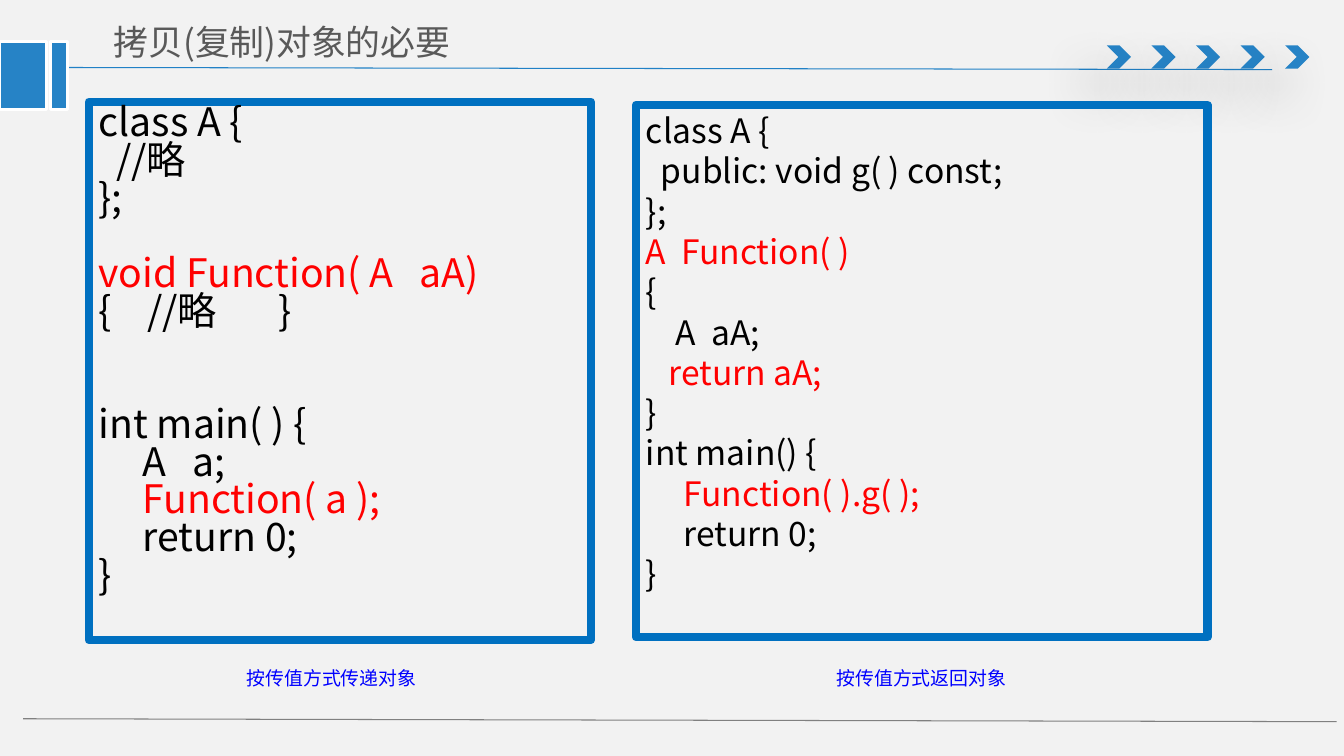
from lxml.etree import SubElement
from pptx import Presentation
from pptx.dml.color import RGBColor
from pptx.enum.shapes import MSO_CONNECTOR, MSO_SHAPE
from pptx.enum.text import MSO_ANCHOR, PP_ALIGN
from pptx.oxml.ns import qn
from pptx.util import Pt

BLUE, FRAME, RED, BLACK = "2683C6", "0070C0", "FF0000", "000000"
CJK = "Noto Sans CJK SC"


def color(value):
    return RGBColor.from_string(value)


def write(paragraph, text, size=18, font=CJK, ink=BLACK):
    run = paragraph.add_run()
    run.text = text
    run.font.size = Pt(size)
    run.font.name = font
    run.font.color.rgb = color(ink)
    SubElement(run.font._element, qn("a:ea"), typeface=font)


class SlideWriter:
    def __init__(self, slide):
        self.slide = slide
        slide.background.fill.solid()
        slide.background.fill.fore_color.rgb = color("F2F2F2")

    def rule(self, x1, y1, x2, y2, ink):
        line = self.slide.shapes.add_connector(
            MSO_CONNECTOR.STRAIGHT, Pt(x1), Pt(y1), Pt(x2), Pt(y2))
        line.line.color.rgb = color(ink)
        line.line.width = Pt(0.75)
        SubElement(line._element.spPr, qn("a:effectLst"))

    def block(self, kind, x, y, width, height, fill=None, border=None, weight=0):
        block = self.slide.shapes.add_shape(
            kind, Pt(x), Pt(y), Pt(width), Pt(height))
        block.shadow.inherit = False
        if fill:
            block.fill.solid()
            block.fill.fore_color.rgb = color(fill)
        else:
            block.fill.background()
        if border:
            block.line.color.rgb = color(border)
            block.line.width = Pt(weight)
        else:
            block.line.fill.background()
        return block

    def chevron(self, x, y):
        chevron = self.block(MSO_SHAPE.CHEVRON, x, y, 17.3, 16.6, BLUE)
        effects = chevron._element.spPr.find(qn("a:effectLst"))
        shadow = SubElement(effects, qn("a:outerShdw"), blurRad=str(Pt(36)),
                            dist=str(Pt(24)), dir=str(130 * 60000),
                            rotWithShape="0")
        tint = SubElement(shadow, qn("a:srgbClr"), val=BLACK)
        SubElement(tint, qn("a:alpha"), val="38000")

    def label(self, text, x, y, width, height, insets=(7.2, 3.6),
              align=PP_ALIGN.LEFT, anchor=MSO_ANCHOR.TOP, **style):
        frame = self.slide.shapes.add_textbox(
            Pt(x), Pt(y), Pt(width), Pt(height)).text_frame
        frame.word_wrap = True
        frame.vertical_anchor = anchor
        frame.margin_left = frame.margin_right = Pt(insets[0])
        frame.margin_top = frame.margin_bottom = Pt(insets[1])
        paragraph = frame.paragraphs[0]
        paragraph.alignment = align
        write(paragraph, text, **style)

    def code(self, lines, x, y, width, height, size, spacing):
        frame = self.block(MSO_SHAPE.RECTANGLE, x, y, width, height,
                           border=FRAME, weight=6).text_frame
        frame.word_wrap = True
        frame.vertical_anchor = MSO_ANCHOR.TOP
        for index, (text, ink, gap) in enumerate(lines):
            paragraph = frame.paragraphs[0] if index == 0 else frame.add_paragraph()
            paragraph.alignment = PP_ALIGN.LEFT
            paragraph.line_spacing = spacing
            if gap:
                paragraph.space_before = Pt(gap)
            write(paragraph, text, size=size, ink=ink)


PASS_BY_VALUE = [
    ("class A {", BLACK, 0),
    ("  //略", BLACK, 0),
    ("};", BLACK, 0),
    ("void Function( A   aA)", RED, 27),
    ("{    //略       }", BLACK, 0),
    ("int main( ) {", BLACK, 54),
    ("     A   a;", BLACK, 0),
    ("     Function( a );", RED, 0),
    ("     return 0;", BLACK, 0),
    ("}", BLACK, 0),
]
RETURN_BY_VALUE = [
    ("class A {", BLACK, 0),
    ("  public: void g( ) const;", BLACK, 0),
    ("};", BLACK, 0),
    ("A  Function( )", RED, 0),
    ("{", BLACK, 0),
    ("    A  aA;", BLACK, 0),
    ("   return aA;", RED, 0),
    ("}", BLACK, 0),
    ("int main() {", BLACK, 0),
    ("     Function( ).g( );", RED, 0),
    ("     return 0;", BLACK, 0),
    ("}", BLACK, 0),
]


def main():
    deck = Presentation()
    deck.slide_width, deck.slide_height = Pt(960), Pt(540)
    page = SlideWriter(deck.slides.add_slide(deck.slide_layouts[6]))

    page.rule(38.2, 48.2, 908.6, 49.7, "2181C6")
    for step in range(5):
        page.chevron(790.6 + 31.85 * step, 32.4)
    page.rule(16.6, 513.4, 954.7, 515.5, "808080")
    for x, width in ((0, 33.1), (36, 12.2)):
        page.block(MSO_SHAPE.RECTANGLE, x, 29.5, width, 49, BLUE, "FFFFFF", 2)

    page.label("拷贝(复制)对象的必要", 71.3, 10.1, 333.4, 39.6, insets=(10.1, 5),
               anchor=MSO_ANCHOR.MIDDLE, size=24.9, ink="595959")
    page.code(PASS_BY_VALUE, 63.4, 72.7, 358.6, 384.5, 28, 0.8)
    page.code(RETURN_BY_VALUE, 454.3, 74.9, 408.2, 380.2, 24, 1.0)
    for caption, x, width in (("按传值方式传递对象", 92.2, 289.4),
                              ("按传值方式返回对象", 561.6, 193)):
        page.label(caption, x, 472.3, width, 23.8, align=PP_ALIGN.CENTER,
                   size=13.5, font="Arial", ink="0000FF")

    deck.save("out.pptx")


if __name__ == "__main__":
    main()
